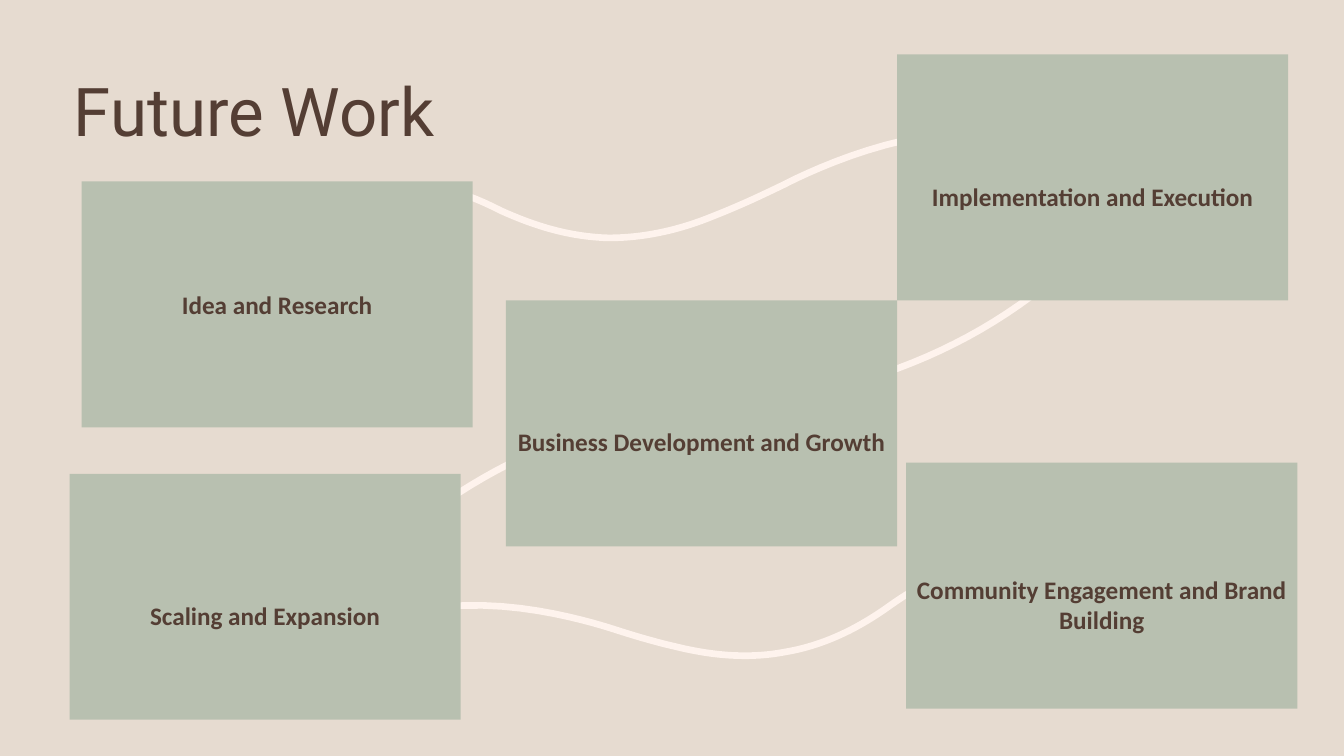
from pptx import Presentation
from pptx.dml.color import RGBColor
from pptx.enum.shapes import MSO_SHAPE as Shape
from pptx.enum.text import MSO_ANCHOR as Anchor, PP_ALIGN as Align
from pptx.util import Inches, Pt

# Colours
SAND = RGBColor(0xE6, 0xDB, 0xD0)
SAGE = RGBColor(0xB8, 0xC0, 0xB0)
CREAM = RGBColor(0xFE, 0xF3, 0xED)
BROWN = RGBColor(0x54, 0x3E, 0x34)

# Grid of square cells, 40 columns by 22.5 rows
CELL = Inches(13.333) / 40
COLUMNS, ROWS = 40, 22.5
CARD_COLUMNS, CARD_ROWS = 11.64, 7.32
LABEL_DROP = 1.1
CURVE_STEPS = 16

# Label, left column, top row, rows by which the label's area starts lower
CARDS = [
    ("Idea and Research", 2.43, 5.4, 0),
    ("Implementation and Execution", 26.7, 1.62, LABEL_DROP),
    ("Business Development and Growth", 15.06, 8.94, LABEL_DROP),
    ("Scaling and Expansion", 2.07, 14.1, LABEL_DROP),
    ("Community Engagement and Brand Building", 26.97, 13.77, LABEL_DROP),
]

# Start point, then two control points and an end point for each Bézier arc
IMPLEMENTATION_TO_GROWTH = [
    (25, 11.5), (27.39, 10.89), (29.55, 9.81), (31.41, 8.25)]
GROWTH_TO_SCALING = [
    (17.52, 12.84), (15.27, 13.56), (13.35, 14.7), (11.67, 16.17)]
IDEA_TO_IMPLEMENTATION = [
    (9.21, 6.69),
    (10.5, 5.61), (11.94, 5.31), (13.47, 5.7),
    (13.98, 5.82), (14.43, 6.03), (14.91, 6.27),
    (15.9, 6.72), (16.95, 7.05), (18.12, 7.08),
    (19.11, 7.08), (20.1, 6.87), (21.03, 6.51),
    (22.11, 6.09), (22.71, 5.79), (23.34, 5.49),
    (24.03, 5.13), (28.2, 3.09), (30.81, 4.38)]
COMMUNITY_TO_SCALING = [
    (27.6, 17.37),
    (27.12, 17.58), (26.73, 17.85), (26.31, 18.15),
    (25.44, 18.75), (24.45, 19.23), (23.34, 19.41),
    (22.38, 19.59), (21.42, 19.53), (20.43, 19.32),
    (19.35, 19.08), (18.72, 18.87), (18.06, 18.66),
    (17.34, 18.45), (13.02, 17.1), (10.41, 19.08)]
CURVES = [IMPLEMENTATION_TO_GROWTH, GROWTH_TO_SCALING,
          IDEA_TO_IMPLEMENTATION, COMMUNITY_TO_SCALING]


def cells(count):
    return round(count * CELL)


def write_text(shape, text, *, font, size, bold=False, align=Align.LEFT,
               line_spacing=1.0, drop=0):
    frame = shape.text_frame
    frame.word_wrap = True
    frame.vertical_anchor = Anchor.MIDDLE
    frame.margin_top = Inches(0.05) + cells(drop)
    paragraph = frame.paragraphs[0]
    paragraph.alignment = align
    paragraph.line_spacing = line_spacing
    run = paragraph.add_run()
    run.text = text
    run.font.name = font
    run.font.size = Pt(size)
    run.font.bold = bold
    run.font.color.rgb = BROWN


def bezier_point(points, t):
    weights = ((1 - t) ** 3, 3 * t * (1 - t) ** 2, 3 * t ** 2 * (1 - t), t ** 3)
    return tuple(cells(sum(weight * point[axis]
                           for weight, point in zip(weights, points)))
                 for axis in (0, 1))


def add_curve(slide, points):
    outline = [bezier_point(points[start:start + 4], step / CURVE_STEPS)
               for start in range(0, len(points) - 1, 3)
               for step in range(1, CURVE_STEPS + 1)]
    builder = slide.shapes.build_freeform(*map(cells, points[0]))
    builder.add_line_segments(outline, close=False)
    shape = builder.convert_to_shape()
    shape.shadow.inherit = False
    shape.fill.background()
    shape.line.color.rgb = CREAM
    shape.line.width = Pt(4.75)


def add_title(slide, text):
    shape = slide.shapes.add_textbox(cells(1.9), cells(2.3), cells(30), cells(2.22))
    write_text(shape, text, font="Roboto", size=48, line_spacing=0.9)


def add_card(slide, label, column, row, drop):
    shape = slide.shapes.add_shape(
        Shape.RECTANGLE, cells(column), cells(row),
        cells(CARD_COLUMNS), cells(CARD_ROWS))
    shape.shadow.inherit = False
    shape.fill.solid()
    shape.fill.fore_color.rgb = SAGE
    shape.line.fill.background()
    write_text(shape, label, font="Calibri", size=18, bold=True,
               align=Align.CENTER, drop=drop)


def main():
    presentation = Presentation()
    presentation.slide_width = cells(COLUMNS)
    presentation.slide_height = cells(ROWS)
    slide = presentation.slides.add_slide(presentation.slide_layouts[6])
    slide.background.fill.solid()
    slide.background.fill.fore_color.rgb = SAND

    # Curves run behind the cards
    for points in CURVES:
        add_curve(slide, points)

    # Title and cards
    add_title(slide, "Future Work")
    for card in CARDS:
        add_card(slide, *card)

    presentation.save("out.pptx")


if __name__ == "__main__":
    main()
